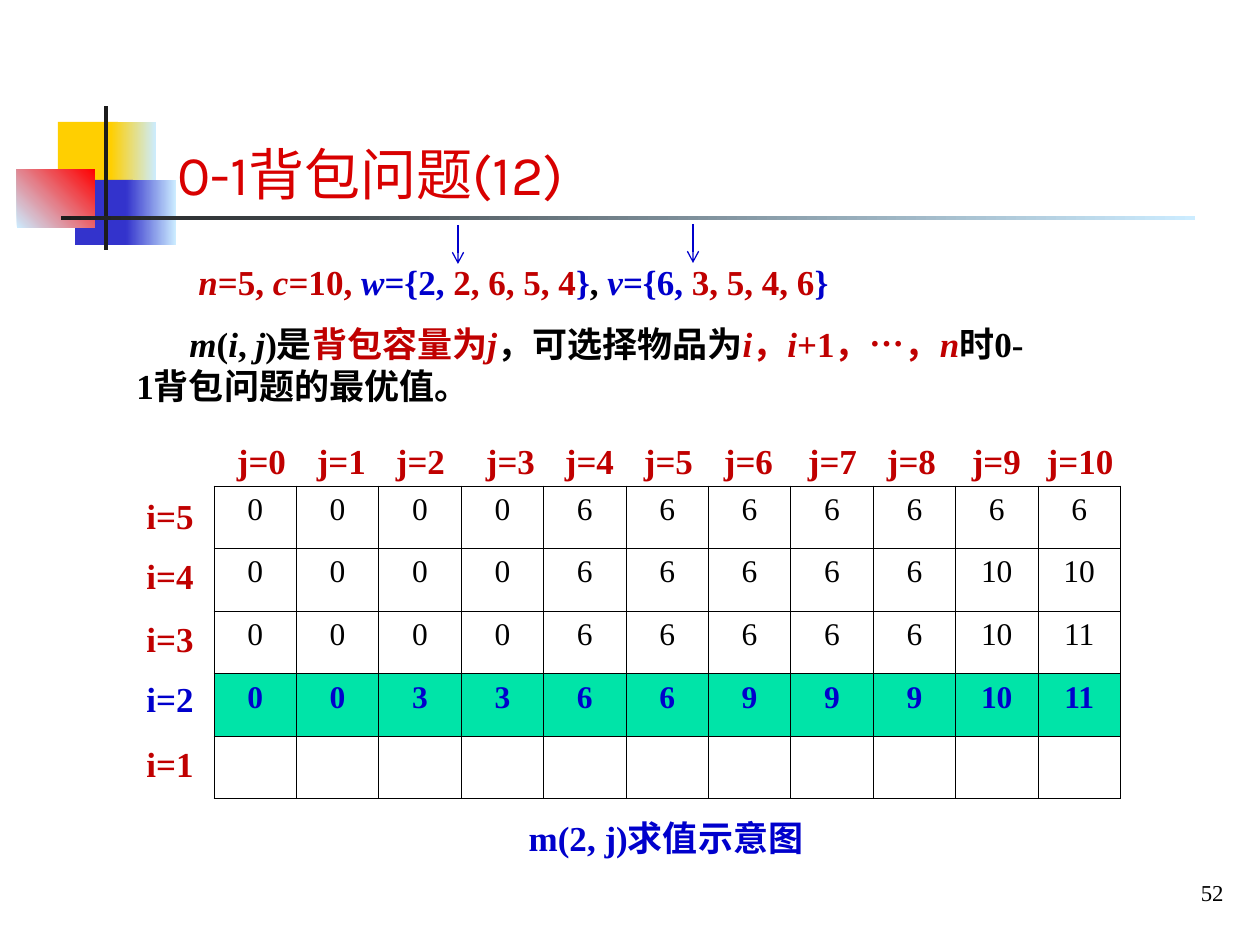
from lxml.etree import SubElement
from pptx import Presentation
from pptx.dml.color import RGBColor
from pptx.enum.shapes import MSO_CONNECTOR as Conn, MSO_SHAPE as Shape
from pptx.enum.text import (MSO_ANCHOR as Anchor, MSO_AUTO_SIZE as AutoSize,
                            PP_ALIGN as Align)
from pptx.oxml.ns import qn
from pptx.util import Pt

EMU_PER_PX = 914400 / 126

BLACK = RGBColor(0x00, 0x00, 0x00)
CHARCOAL = RGBColor(0x1C, 0x1C, 0x1C)
YELLOW = RGBColor(0xFF, 0xCF, 0x01)
INDIGO = RGBColor(0x33, 0x33, 0xCC)
RED = RGBColor(0xFF, 0x00, 0x00)
PALE = RGBColor(0xCC, 0xEC, 0xFF)
TITLE_RED = RGBColor(0xD8, 0x00, 0x00)
CRIMSON = RGBColor(0xC0, 0x00, 0x00)
BLUE = RGBColor(0x00, 0x00, 0xCC)
GREEN = RGBColor(0x00, 0xE4, 0xA8)


def px(*values):
    return [round(v * EMU_PER_PX) for v in values]


def add_run(p, text, size=20, color=BLACK, bold=True, italic=False,
            font="Times New Roman"):
    r = p.add_run()
    r.text = text
    f = r.font
    f.size, f.bold, f.italic, f.name = Pt(size), bold, italic, font
    f.color.rgb = color


class SlideBuilder:
    border = 0.45
    arrow_width = 0.75

    def __init__(self, slide):
        self.slide = slide

    def block(self, box, *colors, angle=0):
        sp = self.slide.shapes.add_shape(Shape.RECTANGLE, *px(*box))
        sp.shadow.inherit = False
        sp.line.fill.background()
        if len(colors) == 1:
            sp.fill.solid()
            sp.fill.fore_color.rgb = colors[0]
            return
        sp.fill.gradient()
        sp.fill.gradient_angle = angle
        for stop, color in zip(sp.fill.gradient_stops, colors):
            stop.color.rgb = color

    def text(self, box, runs, align=Align.LEFT, anchor=Anchor.TOP,
             wrap=True, indent=0, **style):
        tf = self.slide.shapes.add_textbox(*px(*box)).text_frame
        tf.word_wrap, tf.vertical_anchor = wrap, anchor
        if not wrap:
            tf.auto_size = AutoSize.SHAPE_TO_FIT_TEXT
        p = tf.paragraphs[0]
        p.alignment = align
        if indent:
            p._p.get_or_add_pPr().set("indent", str(px(indent)[0]))
        if isinstance(runs, str):
            runs = [(runs, {})]
        for text, own in runs:
            add_run(p, text, **{**style, **own})

    def label(self, box, text, color):
        self.text(box, text, align=Align.CENTER, wrap=False, color=color)

    def arrow(self, x, top, bottom):
        line = self.slide.shapes.add_connector(
            Conn.STRAIGHT, *px(x, top, x, bottom))
        line.line.color.rgb = BLUE
        line.line.width = Pt(self.arrow_width)
        SubElement(line.line._get_or_add_ln(), qn("a:tailEnd"), type="arrow")
        SubElement(line._element.spPr, qn("a:effectLst"))

    def cell_border(self, cell):
        tcPr = cell._tc.get_or_add_tcPr()
        for side in ("lnL", "lnR", "lnT", "lnB"):
            ln = SubElement(tcPr, qn(f"a:{side}"), w=str(Pt(self.border)))
            fill = SubElement(ln, qn("a:solidFill"))
            SubElement(fill, qn("a:srgbClr"), val=str(BLACK))

    def table(self, left, top, col_width, row_height, rows, marked):
        n_rows, n_cols = len(rows), len(rows[0])
        tbl = self.slide.shapes.add_table(n_rows, n_cols, *px(
            left, top, col_width * n_cols, row_height * n_rows)).table
        tbl.first_row = tbl.horz_banding = False
        for i, values in enumerate(rows):
            for j, value in enumerate(values):
                cell = tbl.cell(i, j)
                self.cell_border(cell)
                if i == marked:
                    cell.fill.solid()
                    cell.fill.fore_color.rgb = GREEN
                else:
                    cell.fill.background()
                if value == "":
                    continue
                p = cell.text_frame.paragraphs[0]
                p.alignment = Align.CENTER
                add_run(p, str(value), size=18, bold=i == marked,
                        color=BLUE if i == marked else BLACK)


ROWS = [
    [0] * 4 + [6] * 7,
    [0] * 4 + [6] * 5 + [10, 10],
    [0] * 4 + [6] * 5 + [10, 11],
    [0, 0, 3, 3, 6, 6, 9, 9, 9, 10, 11],
    [""] * 11,
]
MARKED_ROW = 3
ROW_LABEL_TOPS = [488, 548, 611, 671, 736]
COL_LABEL_LEFTS = [224, 304, 383, 473, 552, 631, 711, 795, 874, 959, 1034]

VAR = {"italic": True}
RED_TEXT = {"color": CRIMSON}
BLUE_TEXT = {"color": BLUE}
RED_VAR = {**RED_TEXT, **VAR}
BLUE_VAR = {**BLUE_TEXT, **VAR}

GIVEN = [
    ("n", RED_VAR), ("=5, ", RED_TEXT), ("c", RED_VAR), ("=10, ", RED_TEXT),
    ("w", BLUE_VAR), ("={2, ", BLUE_TEXT), ("2, 6, 5, 4", RED_TEXT),
    ("}", BLUE_TEXT), (", ", {}), ("v", BLUE_VAR), ("={6, ", BLUE_TEXT),
    ("3, 5, 4, 6", RED_TEXT), ("}", BLUE_TEXT),
]
MEANING = [
    ("m", VAR), ("(", {}), ("i", VAR), (", ", {}), ("j", VAR), (")是", {}),
    ("背包容量为", RED_TEXT), ("j", RED_VAR), ("，可选择物品为", {}),
    ("i", RED_VAR), ("，", RED_TEXT), ("i", RED_VAR), ("+1，…，", RED_TEXT),
    ("n", RED_VAR), ("时0-1背包问题的最优值。", {}),
]


def main():
    prs = Presentation()
    prs.slide_width, prs.slide_height = px(1260, 945)
    s = SlideBuilder(prs.slides.add_slide(prs.slide_layouts[6]))

    s.block((58, 122, 60, 65), YELLOW)
    s.block((111, 122, 45, 65), YELLOW, PALE)
    s.block((75, 180, 58, 65), INDIGO)
    s.block((126, 180, 50, 65), INDIGO, PALE)
    s.block((17, 169, 78, 59), PALE, RED, angle=45)
    s.block((104, 106, 4, 144), CHARCOAL)
    s.block((61, 216, 1134, 4), CHARCOAL, PALE)

    s.text((995, 869, 241, 47), "52", align=Align.RIGHT,
           anchor=Anchor.MIDDLE, size=13, bold=False)
    s.text((165, 76, 1061, 137), "0-1背包问题(12)", anchor=Anchor.BOTTOM,
           size=32, color=TITLE_RED, bold=False, font="Karla")

    s.table(214, 486, 82.4, 62.6, ROWS, MARKED_ROW)
    for i, top in enumerate(ROW_LABEL_TOPS):
        s.label((132, top, 76, 55), f"i={len(ROWS) - i}",
                BLUE if i == MARKED_ROW else CRIMSON)
    for j, left in enumerate(COL_LABEL_LEFTS):
        s.label((left, 433, 92 if j == 10 else 75, 55), f"j={j}", CRIMSON)
    s.label((508, 810, 316, 55), "m(2, j)求值示意图", BLUE)

    s.text((186, 254, 664, 55), GIVEN)
    s.text((124, 316, 912, 97), MEANING, indent=53)
    s.arrow(693, 224, 263)
    s.arrow(458, 225, 264)

    prs.save("out.pptx")


if __name__ == "__main__":
    main()
